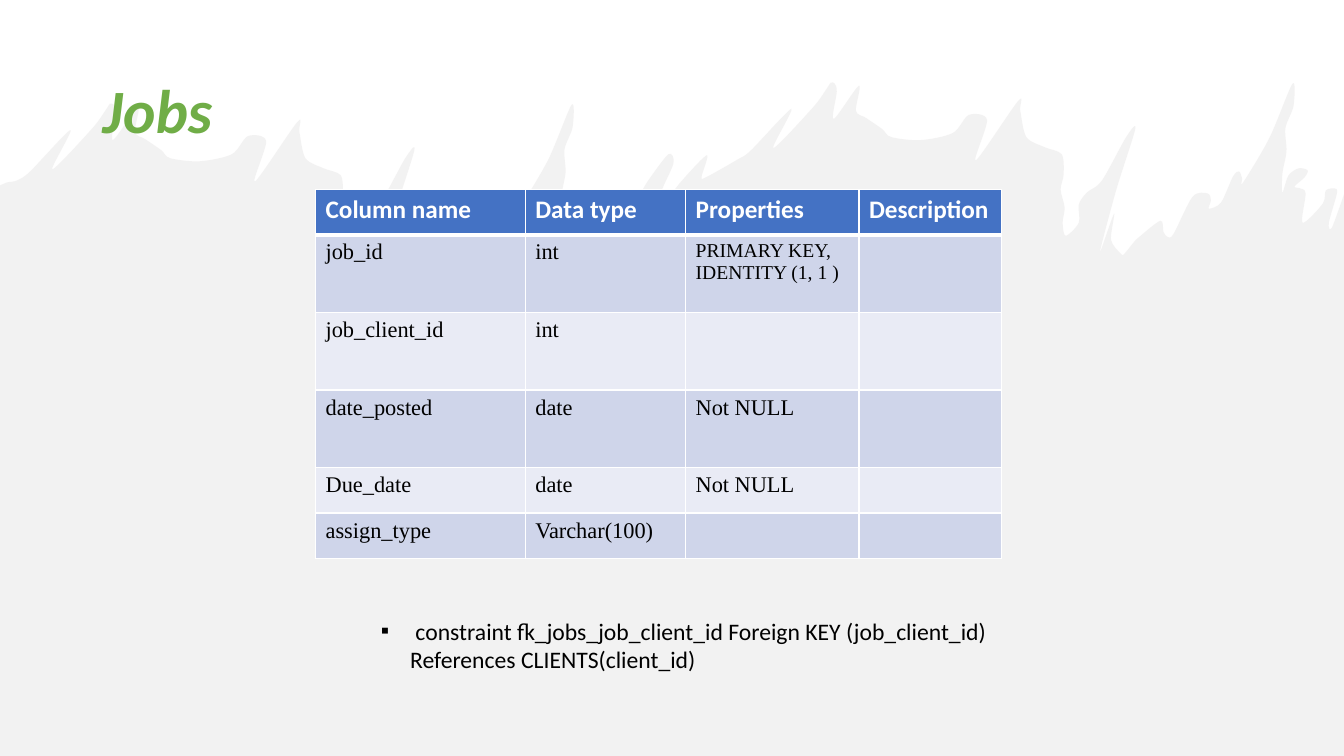
from dataclasses import dataclass

from lxml.etree import SubElement
from pptx import Presentation
from pptx.dml.color import RGBColor
from pptx.enum.text import MSO_ANCHOR, MSO_AUTO_SIZE
from pptx.oxml.ns import qn
from pptx.util import Inches, Pt


@dataclass(frozen=True)
class Theme:
    heading: str = "70AD47"
    header: str = "4472C4"
    bands: tuple = ("CFD5EA", "E9EBF5")
    white: str = "FFFFFF"
    ink: str = "000000"
    splash: str = "E7E6E6"
    splash_opacity: int = 50
    sans: str = "Calibri"
    serif: str = "Times New Roman"
    title_size: float = 44
    header_size: float = 18
    body_size: float = 16
    small_size: float = 14
    note_size: float = 16.9


THEME = Theme()
WIDTH, HEIGHT = 13.33, 7.5

TITLE = "Jobs"
NOTE = " constraint fk_jobs_job_client_id Foreign KEY (job_client_id) References CLIENTS(client_id)"
ROWS = [
    ("Column name", "Data type", "Properties", "Description"),
    ("job_id", "int", "PRIMARY KEY,\nIDENTITY (1, 1 )", ""),
    ("job_client_id", "int", "", ""),
    ("date_posted", "date", "Not NULL", ""),
    ("Due_date", "date", "Not NULL", ""),
    ("assign_type", "Varchar(100)", "", ""),
]
COLUMN_WIDTHS = (2.08, 1.59, 1.72, 1.41)
SHORT_ROW, TALL_ROW = 0.45, 0.77
ROW_HEIGHTS = (SHORT_ROW,) + (TALL_ROW,) * 3 + (SHORT_ROW,) * 2

SPLASH = [
    (7.32, 1.58), (7.45, 1.49), (7.85, 1.08), (7.67, 1.47), (8.06, 1.07), (8.2, 0.88),
    (8.24, 0.82), (8.28, 0.83), (8.3, 0.91), (8.27, 1.18), (8.52, 0.85), (8.49, 1.1),
    (8.59, 1.17), (8.75, 1.28), (8.84, 1.36), (9.13, 1.39), (9.45, 1.32), (9.61, 1.14),
    (9.79, 1.19), (9.68, 1.59), (10.1, 1), (10.12, 1.1), (10.18, 1.36), (10.36, 1.46),
    (10.53, 1.53), (10.55, 1.73), (10.52, 1.88), (10.56, 2.06), (10.54, 2.21),
    (10.57, 2.34), (10.7, 2.21), (10.7, 2.03), (10.78, 1.91), (10.93, 1.79),
    (11.17, 1.36), (11.26, 1.28), (11.07, 1.89), (10.91, 2.5), (11.05, 2.12),
    (11.02, 2.38), (11.12, 2.52), (11.15, 2.52), (11.24, 2.41), (11.3, 2.35),
    (11.51, 2.19), (11.54, 2.3), (11.58, 2.35), (11.64, 2.32), (11.83, 1.95),
    (11.98, 1.92), (12.01, 1.99), (11.99, 2.07), (12.11, 2.01), (12.23, 1.75),
    (12.29, 1.7), (12.32, 1.77), (12.33, 1.81), (12.59, 1.37), (12.82, 0.83),
    (12.83, 1.05), (12.75, 1.27), (12.76, 1.5), (12.72, 1.72), (12.72, 1.91),
    (12.78, 1.74), (12.88, 1.67), (12.97, 1.69), (12.94, 1.76), (12.84, 1.85),
    (12.9, 1.87), (12.95, 1.92), (12.92, 2.21), (13.12, 2.02), (13.15, 1.89),
]
SPLASH_SHIFT = (-7.15, 0.21)
LEFT_EDGE = [(0, 1.84), (0.07, 1.81)]
BRIDGE = [
    (6.06, 2.07), (6.1, 2.04), (6.27, 2), (6.34, 1.94), (6.43, 1.79), (6.63, 1.53),
    (6.68, 1.62), (6.56, 1.9), (6.53, 2.1), (6.74, 1.82), (7.01, 1.54), (6.96, 1.75),
    (7, 1.76),
]
RIGHT_EDGE = [(13.24, 1.87), (13.26, 1.92), (13.18, 2.21), (13.21, 2.26), (13.33, 1.93)]
CURVE_TENSION = 1 / 7


def bend(shape, crest_length):
    nodes = list(shape._element.iter(qn("a:pt")))[:crest_length]
    crest = [(int(node.get("x")), int(node.get("y"))) for node in nodes]
    padded = [crest[0], *crest, crest[-1]]
    for node, a, b, c, d in zip(nodes[1:], padded, padded[1:], padded[2:], padded[3:]):
        segment = node.getparent()
        curve = SubElement(segment.getparent(), qn("a:cubicBezTo"))
        leave = [q + CURVE_TENSION * (r - p) for p, q, r in zip(a, b, c)]
        arrive = [r - CURVE_TENSION * (s - q) for q, r, s in zip(b, c, d)]
        for x, y in (leave, arrive, c):
            SubElement(curve, qn("a:pt"), x=str(round(x)), y=str(round(y)))
        segment.getparent().replace(segment, curve)


def write(frame, text, size, font, color, bold=False, italic=False):
    for index, line in enumerate(text.split("\n")):
        para = frame.paragraphs[0] if index == 0 else frame.add_paragraph()
        span = para.add_run()
        span.text = line
        span.font.size = Pt(size)
        span.font.name = font
        span.font.bold = bold
        span.font.italic = italic
        span.font.color.rgb = RGBColor.from_string(color)
    return frame.paragraphs[0]


def add_box(page, left, top, width, height):
    box = page.shapes.add_textbox(Inches(left), Inches(top), Inches(width), Inches(height))
    box.text_frame.word_wrap = True
    return box.text_frame


def add_background(page):
    dx, dy = SPLASH_SHIFT
    left_splash = [(x + dx, y + dy) for x, y in SPLASH]
    crest = LEFT_EDGE + left_splash + BRIDGE + SPLASH + RIGHT_EDGE
    outline = [(Inches(x), Inches(y)) for x, y in crest + [(WIDTH, HEIGHT), (0, HEIGHT)]]
    builder = page.shapes.build_freeform(*outline[0])
    builder.add_line_segments(outline[1:], close=True)
    shape = builder.convert_to_shape()
    bend(shape, len(crest))
    shape.shadow.inherit = False
    shape.line.fill.background()
    shape.fill.solid()
    shape.fill.fore_color.rgb = RGBColor.from_string(THEME.splash)
    color = shape._element.spPr.find(qn("a:solidFill"))[0]
    SubElement(color, qn("a:alpha"), val=str(THEME.splash_opacity * 1000))


def add_title(page):
    frame = add_box(page, 0.92, 0.4, 11.5, 1.45)
    frame.vertical_anchor = MSO_ANCHOR.MIDDLE
    para = write(frame, TITLE, THEME.title_size, THEME.sans, THEME.heading, bold=True, italic=True)
    para.line_spacing = 0.9


def set_borders(cell, **widths):
    props = cell._tc.get_or_add_tcPr()
    for side in "LRTB":
        line = SubElement(props, qn(f"a:ln{side}"), w=str(Pt(widths.get(side, 1))))
        fill = SubElement(line, qn("a:solidFill"))
        SubElement(fill, qn("a:srgbClr"), val=THEME.white)


def add_jobs_table(page):
    table = page.shapes.add_table(
        len(ROWS), len(COLUMN_WIDTHS), Inches(3.13), Inches(1.88),
        Inches(sum(COLUMN_WIDTHS)), Inches(sum(ROW_HEIGHTS)),
    ).table
    for column, width in zip(table.columns, COLUMN_WIDTHS):
        column.width = Inches(width)
    for r, (texts, height) in enumerate(zip(ROWS, ROW_HEIGHTS)):
        table.rows[r].height = Inches(height)
        for c, text in enumerate(texts):
            cell = table.cell(r, c)
            set_borders(cell, T=3 if r == 1 else 1, B=3 if r == 0 else 1)
            cell.fill.solid()
            fill = THEME.header if r == 0 else THEME.bands[(r - 1) % 2]
            cell.fill.fore_color.rgb = RGBColor.from_string(fill)
            if r == 0:
                write(cell.text_frame, text, THEME.header_size, THEME.sans, THEME.white, bold=True)
            elif text:
                size = THEME.small_size if "\n" in text else THEME.body_size
                write(cell.text_frame, text, size, THEME.serif, THEME.ink)


def add_note(page):
    frame = add_box(page, 3.68, 6.07, 6.26, 0.67)
    frame.auto_size = MSO_AUTO_SIZE.SHAPE_TO_FIT_TEXT
    para = write(frame, NOTE, THEME.note_size, THEME.sans, THEME.ink)
    para.space_after = Pt(6)
    props = para._p.get_or_add_pPr()
    props.set("marL", str(Inches(0.29)))
    props.set("indent", str(Inches(-0.29)))
    SubElement(props, qn("a:buFont"), typeface=THEME.serif)
    SubElement(props, qn("a:buChar"), char="▪")


def main():
    deck = Presentation()
    deck.slide_width, deck.slide_height = Inches(WIDTH), Inches(HEIGHT)
    page = deck.slides.add_slide(deck.slide_layouts[6])
    add_background(page)
    add_title(page)
    add_jobs_table(page)
    add_note(page)
    deck.save("out.pptx")


if __name__ == "__main__":
    main()
